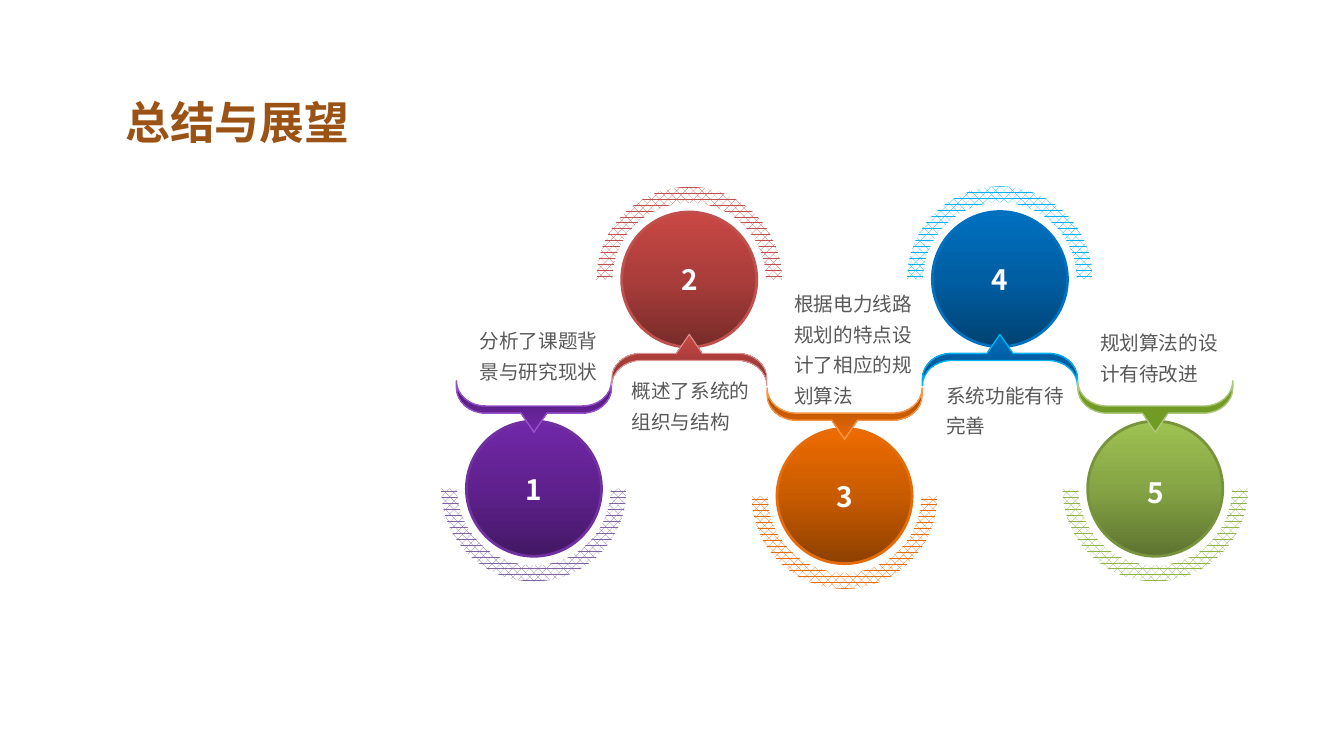
from copy import deepcopy

from lxml import etree
from pptx import Presentation
from pptx.dml.color import RGBColor
from pptx.enum.dml import MSO_PATTERN
from pptx.enum.shapes import MSO_SHAPE
from pptx.enum.text import MSO_AUTO_SIZE, PP_ALIGN
from pptx.oxml.ns import qn
from pptx.util import Pt

ELLIPSE, BLOCK_ARC = MSO_SHAPE.OVAL, MSO_SHAPE.BLOCK_ARC
PERCENT_60 = MSO_PATTERN.PERCENT_60
LEFT, CENTER = PP_ALIGN.LEFT, PP_ALIGN.CENTER
GROW = MSO_AUTO_SIZE.SHAPE_TO_FIT_TEXT

COLORS = {"title": "9A5315", "body": "595959", "white": "FFFFFF"}
# gradient (bottom to top), circle line, arc pattern, bracket line
THEMES = {
    "purple": (("431764", "5F218E", "7128A8"), "7030A0", "8064A2", "9751CB"),
    "red": (("772B29", "A93D3A", "C94844"), "C0504D", "C0504D", "D99694"),
    "orange": (("8D4000", "C85B00", "EE6B00"), "E46C0A", "E46C0A", "F79646"),
    "blue": (("004272", "005EA2", "0070C0"), "0070C0", "00B0F0", "00B0F0"),
    "green": (("5D7330", "85A445", "9EC252"), "77933C", "92B54B", "ACC777"),
}
GREEN_BRACKET = ("719B25",)

TITLE = {"size": Pt(32), "bold": True, "name": "Noto Sans CJK JP"}
NUMBER = {"size": Pt(20), "bold": True, "name": "Noto Sans CJK SC"}
BODY = {"size": Pt(14), "bold": False, "name": "Noto Sans CJK SC"}

FIRST_X, PITCH = 381.4, 110.95
CIRCLE, ARC = 96.5, 132.5
NUMBER_W, NUMBER_H = 70.6, 31.5
CAPTION_W = 100

# Right half of a bracket pointing up, from its tip; the corners are curves
BRACKET_HALF = [
    (9.2, 13.6), (34.6, 13.6), (46.1, 13.6), (55.4, 21.6), (55.4, 31.7),
    (55.4, 36.7), (55.4, 26.6), (46.1, 18.7), (34.6, 18.7),
]
BRACKET = [(0, 0)] + BRACKET_HALF + [(-x, y) for x, y in reversed(BRACKET_HALF)]
# Index, among the line segments, of each curve's first control point
CURVE_STARTS = (2, 6, 10, 14)

# theme, circle centre y, side of the bracket (1 below, -1 above), bracket tip y,
# number centre y, bracket line width, caption, caption left, top and height
STEPS = [
    ("purple", 349.1, -1, 308.7, 350, 1, "分析了课题背景与研究现状", 335.5, 226.4, 51),
    ("red", 199.7, 1, 238.8, 199.4, 0.75, "概述了系统的组织与结构", 444.2, 262.1, 51),
    ("orange", 354.4, -1, 313.8, 354.7, 1,
     "根据电力线路规划的特点设计了相应的规划算法", 560.2, 200.2, 96),
    ("blue", 199.4, 1, 238.8, 199.4, 1, "系统功能有待完善", 668.9, 265.5, 49),
    ("green", 349.1, -1, 308.7, 351.8, 1, "规划算法的设计有待改进", 778.7, 227.8, 51),
]


def rgb(value):
    return RGBColor.from_string(value)


class Deck:
    def __init__(self, slide):
        self.shapes = slide.shapes

    def paint(self, sp, colors, line, width, angle=90):
        """Fill with one colour or a gradient, and set the outline."""
        sp.shadow.inherit = False
        if len(colors) == 1:
            sp.fill.solid()
            sp.fill.fore_color.rgb = rgb(colors[0])
        else:
            sp.fill.gradient()
            sp.fill.gradient_angle = angle
            stops = sp._element.spPr.find(".//" + qn("a:gsLst"))
            stops.insert(1, deepcopy(stops[0]))
            for k, stop in enumerate(sp.fill.gradient_stops):
                stop.position = k / 2
                stop.color.rgb = rgb(colors[k])
        sp.line.color.rgb = rgb(line)
        sp.line.width = Pt(width)

    def centred(self, kind, x, y, size):
        return self.shapes.add_shape(
            kind, Pt(x - size / 2), Pt(y - size / 2), Pt(size), Pt(size))

    def circle(self, x, y, colors, line):
        self.paint(self.centred(ELLIPSE, x, y, CIRCLE), colors, line, 2)

    def arc(self, x, y, side, color):
        """Patterned half ring on the far side from the bracket."""
        sp = self.centred(BLOCK_ARC, x, y, ARC)
        for k, value in enumerate((108, 0, 0.086)):
            sp.adjustments[k] = value
        if side < 0:
            sp._element.spPr.find(qn("a:xfrm")).set("flipV", "1")
        sp.shadow.inherit = False
        sp.fill.patterned()
        sp.fill.pattern = PERCENT_60
        sp.fill.fore_color.rgb = rgb(color)
        sp.fill.back_color.rgb = rgb(COLORS["white"])
        sp.line.fill.background()

    def bracket(self, x, tip_y, side, colors, line, width):
        points = [(Pt(x + dx), Pt(tip_y + side * dy)) for dx, dy in BRACKET]
        fb = self.shapes.build_freeform(*points[0])
        fb.add_line_segments(points[1:], close=True)
        sp = fb.convert_to_shape()
        segments = list(sp._element.iter(qn("a:lnTo")))
        for start in CURVE_STARTS:
            curve = etree.Element(qn("a:cubicBezTo"))
            segments[start].addprevious(curve)
            for segment in segments[start:start + 3]:
                curve.append(segment[0])
                segment.getparent().remove(segment)
        self.paint(sp, colors, line, width, 90 * side % 360)

    def text(self, words, x, y, w, h, style, color, align=LEFT, spacing=None):
        tf = self.shapes.add_textbox(Pt(x), Pt(y), Pt(w), Pt(h)).text_frame
        tf.word_wrap = True
        tf.auto_size = GROW
        p = tf.paragraphs[0]
        p.alignment = align
        p.line_spacing = spacing
        r = p.add_run()
        r.text = words
        for name, value in style.items():
            setattr(r.font, name, value)
        r.font.color.rgb = rgb(COLORS[color])
        etree.SubElement(r._r.get_or_add_rPr(), qn("a:ea"), typeface=style["name"])


def main():
    prs = Presentation()
    prs.slide_width, prs.slide_height = Pt(960), Pt(540)
    deck = Deck(prs.slides.add_slide(prs.slide_layouts[6]))
    deck.text("总结与展望", 72, 64.1, 195.1, 46.1, TITLE, "title", CENTER)

    for i, step in enumerate(STEPS):
        theme, y, side, tip_y, number_y, width, caption, left, top, height = step
        gradient, circle_line, pattern, bracket_line = THEMES[theme]
        x = FIRST_X + i * PITCH
        bracket_fill = GREEN_BRACKET if theme == "green" else gradient
        deck.circle(x, y, gradient, circle_line)
        deck.arc(x, y, side, pattern)
        deck.bracket(x, tip_y, side, bracket_fill, bracket_line, width)
        deck.text(str(i + 1), x - NUMBER_W / 2, number_y - NUMBER_H / 2,
                  NUMBER_W, NUMBER_H, NUMBER, "white", CENTER)
        deck.text(caption, left, top, CAPTION_W, height, BODY, "body", spacing=1.3)

    prs.save("out.pptx")


if __name__ == "__main__":
    main()
